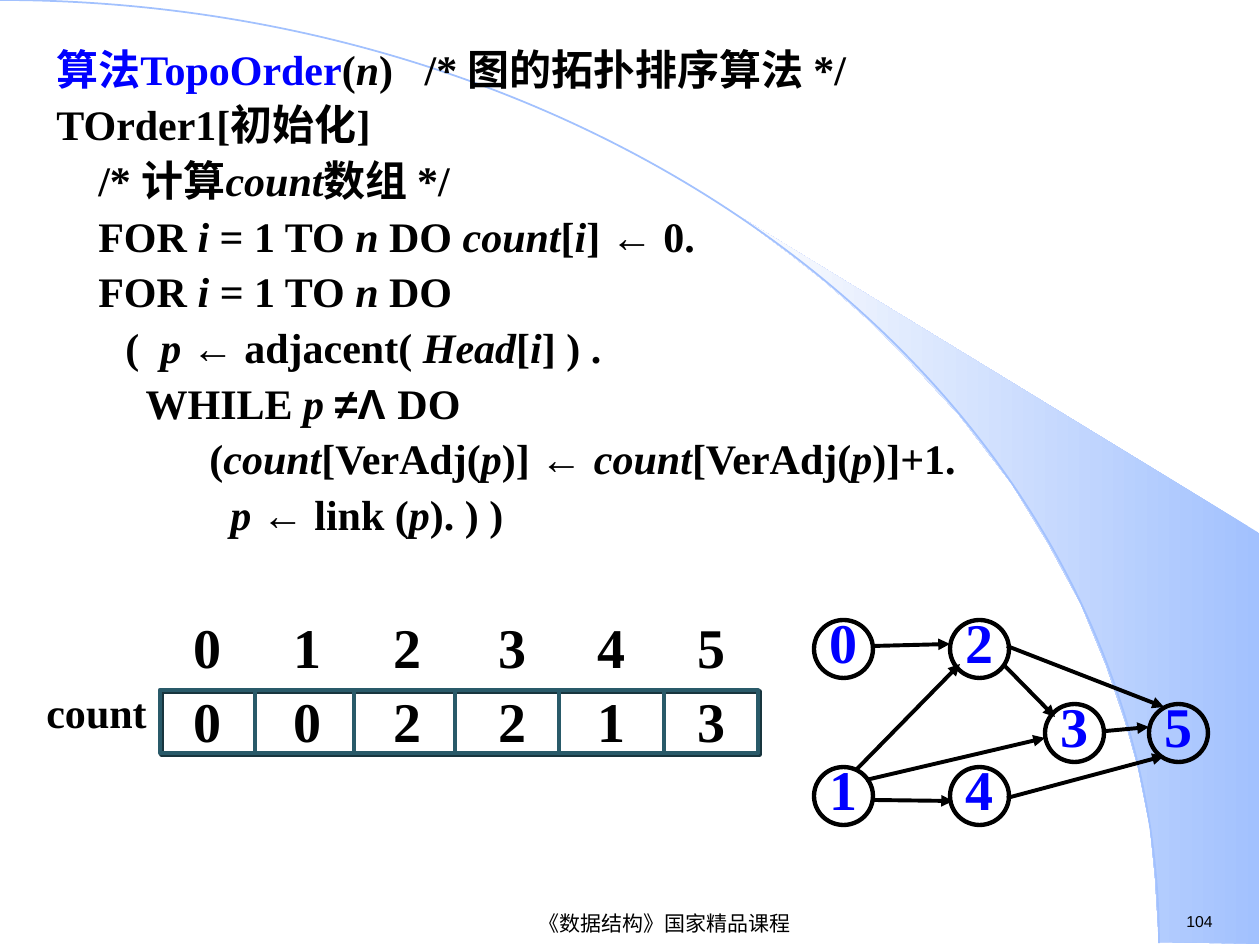
from dataclasses import dataclass
from typing import Iterator, NamedTuple

from lxml import etree
from pptx import Presentation
from pptx import util as u
from pptx.dml.color import RGBColor
from pptx.enum import shapes, text
from pptx.oxml.ns import qn

SCALE = 914400 / 126


@dataclass(frozen=True)
class Theme:
    ink: str = "000000"
    blue: str = "0000FF"
    sky: str = "A2C1FE"
    pale: str = "FEFEFE"
    teal: str = "295A69"
    shade: str = "18353E"
    serif: str = "Times New Roman"
    sans: str = "Arial"
    digit: int = 32
    code: int = 24
    foot: int = 12
    page: int = 9


class Area(NamedTuple):
    left: int
    top: int
    width: int
    height: int


class Node(NamedTuple):
    name: str
    left: int
    top: int


class Edge(NamedTuple):
    x1: int
    y1: int
    x2: int
    y2: int


class Cell(NamedTuple):
    index: str
    count: str
    left: int


THEME = Theme()

# Marks in the text: _italic_, |sans|, #blue#
CODE = [
    "#算法TopoOrder#(_n_)   /* 图的拓扑排序算法 */",
    "TOrder1[初始化]",
    "    /* 计算_count_数组 */",
    "    FOR_ i_ = 1 TO _n_ DO _count_[_i_] |←| 0.",
    "    FOR _i _= 1 TO _n_ DO",
    "\t  (  _p _|←| adjacent( _Head_[_i_] ) .",
    "\t    WHILE _p _|≠Λ |DO",
    "\t\t    (_count_[VerAdj(_p_)] |← |_count_[VerAdj(_p_)]+1.",
    "\t\t      _p _|←| link (_p_). ) )",
]
WING = [
    (1159, 942), (1259, 944), (1259, 533), (742, 218), (786, 251), (823, 280),
    (863, 315), (902, 353), (960, 416), (1012, 484), (1048, 543), (1081, 604),
    (1106, 665), (1125, 721), (1138, 767), (1150, 827), (1155, 877),
]
NODES = [
    Node("3", 1045, 704), Node("2", 950, 620), Node("5", 1149, 704),
    Node("1", 814, 767), Node("4", 950, 767), Node("0", 814, 620),
]
EDGES = [
    Edge(873, 646, 950, 644), Edge(871, 800, 953, 801),
    Edge(866, 780, 1045, 738), Edge(856, 770, 960, 664),
    Edge(1003, 664, 1055, 717), Edge(1106, 731, 1149, 727),
    Edge(1007, 798, 1164, 756), Edge(1007, 646, 1164, 707),
]
CELLS = [
    Cell("0", "0", 160), Cell("1", "0", 260), Cell("2", "2", 360),
    Cell("3", "2", 465), Cell("4", "1", 564), Cell("5", "3", 664),
]
BARS = [255, 354, 455, 559, 664]
ROW = Area(160, 690, 598, 63)


def px(n: float) -> u.Emu:
    return u.Emu(round(n * SCALE))


def rgb(code: str) -> RGBColor:
    return RGBColor.from_string(code)


def split(line: str) -> Iterator[tuple[str, set[str]]]:
    """Yield each stretch of text with the marks that are open around it."""
    marks, part = set(), ""
    for char in line + "_":
        if char not in "_|#":
            part += char
            continue
        if part:
            yield part, marks
        marks, part = marks ^ {char}, ""


def hang(para, depth: int) -> None:
    """Give a paragraph a hanging indent and a tab stop at each inch."""
    props = para._p.get_or_add_pPr()
    props.set("marL", str(px(depth)))
    props.set("indent", str(-px(depth)))
    tabs = etree.SubElement(props, qn("a:tabLst"))
    for step in range(8):
        etree.SubElement(tabs, qn("a:tab"), pos=str(px(126 * step)), algn="l")


def write(slide, lines: list[str], area: Area, *, size: int, color: str = THEME.ink,
          font: str = THEME.serif, bold: bool = True, align=text.PP_ALIGN.LEFT,
          anchor=text.MSO_ANCHOR.TOP, depth: int = 0, gap: float = 0,
          pitch: float = 0) -> None:
    frame = slide.shapes.add_textbox(*map(px, area)).text_frame
    frame.word_wrap = True
    frame.vertical_anchor = anchor
    for row, line in enumerate(lines):
        para = frame.add_paragraph() if row else frame.paragraphs[0]
        para.alignment = align
        if depth:
            hang(para, depth)
        if row and gap:
            para.space_before = u.Pt(gap)
        if pitch:
            para.line_spacing = u.Pt(pitch)
        for part, marks in split(line):
            run = para.add_run()
            run.text = part
            run.font.size = u.Pt(size)
            run.font.bold = bold
            run.font.italic = "_" in marks
            run.font.name = THEME.sans if "|" in marks else font
            run.font.color.rgb = rgb(THEME.blue if "#" in marks else color)


def outline(slide, kind, area: Area, color: str, width: float):
    shape = slide.shapes.add_shape(kind, *map(px, area))
    shape.shadow.inherit = False
    shape.fill.background()
    shape.line.color.rgb = rgb(color)
    shape.line.width = u.Pt(width)
    return shape


def link(slide, edge: Edge, color: str, arrow: bool = False) -> None:
    line = slide.shapes.add_connector(shapes.MSO_CONNECTOR.STRAIGHT, *map(px, edge))
    line.line.color.rgb = rgb(color)
    line.line.width = u.Pt(2.25)
    if arrow:
        etree.SubElement(line.line._get_or_add_ln(), qn("a:tailEnd"), type="triangle")
    etree.SubElement(line._element.spPr, qn("a:effectLst"))


def backdrop(slide) -> None:
    pen = slide.shapes.build_freeform(*WING[0], scale=SCALE)
    pen.add_line_segments(WING[1:], close=True)
    wing = pen.convert_to_shape()
    wing.shadow.inherit = False
    wing.line.fill.background()
    wing.fill.gradient()
    wing.fill.gradient_angle = 180
    for stop, color in zip(wing.fill.gradient_stops, (THEME.sky, THEME.pale)):
        stop.color.rgb = rgb(color)
    outline(slide, shapes.MSO_SHAPE.ARC, Area(-1159, 0, 2318, 1886), THEME.sky, 1)


def graph(slide) -> None:
    for name, left, top in NODES:
        outline(slide, shapes.MSO_SHAPE.OVAL, Area(left, top, 59, 58), THEME.ink, 2.5)
        write(slide, [name], Area(left + 3, top - 19, 43, 81), size=THEME.digit,
              color=THEME.blue, align=text.PP_ALIGN.CENTER)
    for edge in EDGES:
        link(slide, edge, THEME.ink, arrow=True)


def array(slide) -> None:
    frame = outline(slide, shapes.MSO_SHAPE.RECTANGLE, ROW, THEME.teal, 2.5)
    cast = etree.SubElement(frame._element.spPr.find(qn("a:effectLst")),
                            qn("a:outerShdw"), dist=str(u.Pt(1.4)), dir="2700000")
    etree.SubElement(cast, qn("a:srgbClr"), val=THEME.shade)
    for x in BARS:
        link(slide, Edge(x, ROW.top, x, ROW.top + ROW.height), THEME.teal)
    for cell in CELLS:
        for label, top in ((cell.count, 680), (cell.index, 606)):
            write(slide, [label], Area(cell.left, top, 95, 81), size=THEME.digit,
                  align=text.PP_ALIGN.CENTER)
    write(slide, ["count"], Area(34, 680, 158, 63), size=THEME.code)


def main() -> None:
    deck = Presentation()
    deck.slide_width, deck.slide_height = px(1260), px(945)
    slide = deck.slides.add_slide(deck.slide_layouts[6])
    backdrop(slide)
    write(slide, ["104"], Area(1174, 906, 86, 32), size=THEME.page,
          font=THEME.sans, bold=False)
    write(slide, ["《数据结构》国家精品课程"], Area(302, 908, 725, 30), size=THEME.foot,
          font=THEME.sans, bold=False, align=text.PP_ALIGN.CENTER,
          anchor=text.MSO_ANCHOR.MIDDLE)
    write(slide, CODE, Area(44, 37, 1052, 522), size=THEME.code, depth=48,
          gap=3, pitch=28.8)
    graph(slide)
    array(slide)
    deck.save("out.pptx")


if __name__ == "__main__":
    main()
